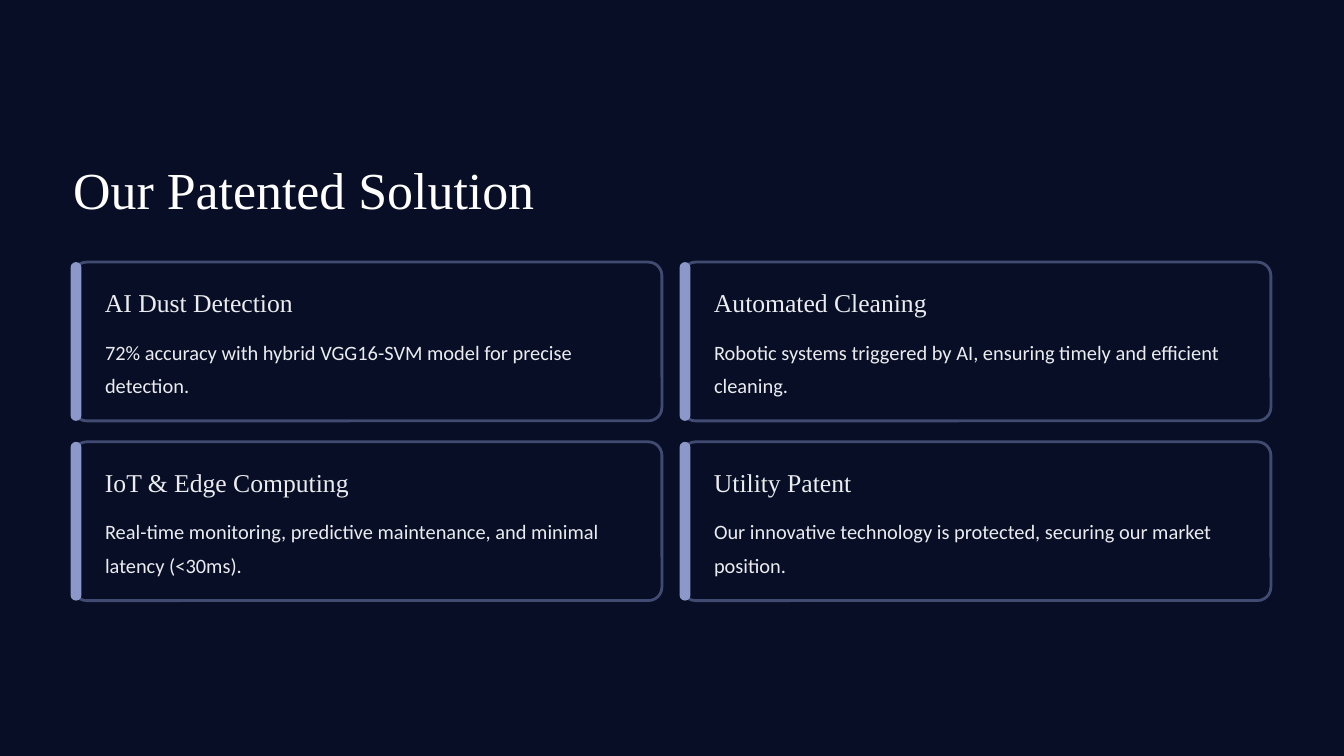
import pptx
import pptx.util
import pptx.dml.color
import pptx.enum.shapes
import pptx.enum.text

SCALE = 9144  # EMU per px, at 100 px to the inch

THEME = {
    "background": "080E26",
    "border": "414A70",
    "accent": "8C98CA",
    "border_width": 2.4,
    "title": {"name": "Times New Roman", "size": 44.5, "color": "FFFFFF", "leading": 55.5},
    "heading": {"name": "Times New Roman", "size": 22, "color": "EBECEF", "leading": 27.5},
    "body": {"name": "Calibri", "size": 17.5, "color": "EBECEF", "leading": 28.5},
}

CARDS = [
    ("AI Dust Detection",
     "72% accuracy with hybrid VGG16-SVM model for precise detection."),
    ("Automated Cleaning",
     "Robotic systems triggered by AI, ensuring timely and efficient cleaning."),
    ("IoT & Edge Computing",
     "Real-time monitoring, predictive maintenance, and minimal latency (<30ms)."),
    ("Utility Patent",
     "Our innovative technology is protected, securing our market position."),
]


def px(*lengths):
    return [pptx.util.Emu(length * SCALE) for length in lengths]


def rgb(name):
    return pptx.dml.color.RGBColor.from_string(THEME[name])


def write_text(shape, text, style_name):
    """Fill a text shape with one paragraph in a theme style."""
    style = THEME[style_name]
    frame = shape.text_frame
    frame_format = {
        "margin_left": 0, "margin_top": 0, "margin_right": 0, "margin_bottom": 0,
        "word_wrap": True,
        "auto_size": pptx.enum.text.MSO_AUTO_SIZE.NONE,
        "vertical_anchor": pptx.enum.text.MSO_ANCHOR.TOP,
    }
    for name, value in frame_format.items():
        setattr(frame, name, value)
    para = frame.paragraphs[0]
    para.alignment = pptx.enum.text.PP_ALIGN.LEFT
    para.line_spacing = pptx.util.Pt(style["leading"])
    span = para.add_run()
    span.text = text
    font_format = {"name": style["name"], "size": pptx.util.Pt(style["size"])}
    for name, value in font_format.items():
        setattr(span.font, name, value)
    span.font.color.rgb = pptx.dml.color.RGBColor.from_string(style["color"])


def add_text(page, box, text, style_name):
    write_text(page.shapes.add_textbox(*px(*box)), text, style_name)


def add_rounded(page, box, rounding, fill, border=None):
    shape = page.shapes.add_shape(
        pptx.enum.shapes.MSO_SHAPE.ROUNDED_RECTANGLE, *px(*box))
    shape.adjustments[0] = rounding
    shape.shadow.inherit = False
    shape.fill.solid()
    shape.fill.fore_color.rgb = rgb(fill)
    if border:
        shape.line.color.rgb = rgb(border)
        shape.line.width = pptx.util.Pt(THEME["border_width"])
    else:
        shape.line.fill.background()


def add_title(page, box, text):
    title = page.shapes.title
    places = zip(("left", "top", "width", "height"), px(*box))
    for name, value in places:
        setattr(title, name, value)
    write_text(title, text, "title")


def add_card(page, box, heading, body):
    left, top, width, height = box
    # Frame and accent bar
    add_rounded(page, box, 0.085, "background", "border")
    add_rounded(page, (left - 3, top, 13, height), 0.5, "accent")
    # Heading and description
    add_text(page, (left + 38, top + 28, 333, 39), heading, "heading")
    add_text(page, (left + 38, top + 82, width - 66, 79), body, "body")


def add_card_grid(page, box, cards, columns=2, gap_across=24, gap_down=25):
    left, top, width, height = box
    rows = len(cards) // columns
    card_width = (width - gap_across * (columns - 1)) // columns
    card_height = (height - gap_down * (rows - 1)) // rows
    for index, (heading, body) in enumerate(cards):
        row, column = divmod(index, columns)
        card_box = (left + column * (card_width + gap_across),
                    top + row * (card_height + gap_down),
                    card_width, card_height)
        add_card(page, card_box, heading, body)


def main():
    deck = pptx.Presentation()
    deck.slide_width, deck.slide_height = px(1600, 900)
    page = deck.slides.add_slide(deck.slide_layouts[5])
    page.background.fill.solid()
    page.background.fill.fore_color.rgb = rgb("background")
    add_title(page, (87, 185, 658, 78), "Our Patented Solution")
    add_card_grid(page, (87, 312, 1426, 403), CARDS)
    deck.save("out.pptx")


if __name__ == "__main__":
    main()
